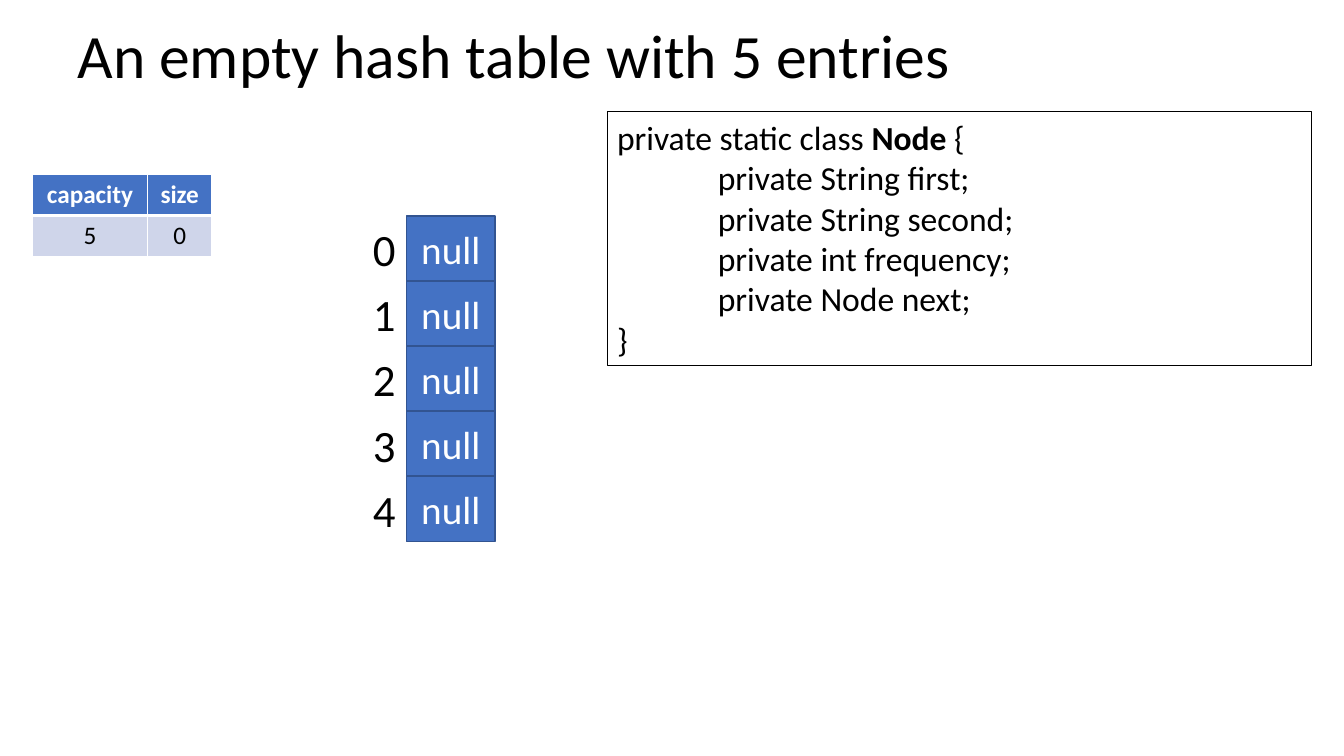
from lxml import etree
from pptx import Presentation
from pptx.dml.color import RGBColor
from pptx.enum.shapes import MSO_SHAPE
from pptx.enum.text import MSO_ANCHOR, MSO_AUTO_SIZE, PP_ALIGN
from pptx.oxml.ns import qn
from pptx.util import Cm, Pt

RECTANGLE = MSO_SHAPE.RECTANGLE
MIDDLE, TOP = MSO_ANCHOR.MIDDLE, MSO_ANCHOR.TOP
LEFT, CENTER = PP_ALIGN.LEFT, PP_ALIGN.CENTER
NO_FIT = MSO_AUTO_SIZE.NONE
TITLE_ONLY = 5

FONT = "Calibri"
BLACK, WHITE = "000000", "FFFFFF"
BLUE, DARK_BLUE, PALE_BLUE = "4472C4", "325491", "CFD5EA"


def color(hex_string):
    return RGBColor.from_string(hex_string)


def add_span(para, text, size, hex_color=BLACK, bold=False):
    span = para.add_run()
    span.text = text
    span.font.name = FONT
    span.font.size = Pt(size)
    span.font.bold = bold
    span.font.color.rgb = color(hex_color)


def add_box(page, left, top, width, height, fill, line, line_width):
    box = page.shapes.add_shape(RECTANGLE, Cm(left), Cm(top), Cm(width), Cm(height))
    box.shadow.inherit = False
    if fill:
        box.fill.solid()
        box.fill.fore_color.rgb = color(fill)
    else:
        box.fill.background()
    box.line.color.rgb = color(line)
    box.line.width = Pt(line_width)
    return box


def set_borders(cell, bottom_width):
    properties = cell._tc.get_or_add_tcPr()
    for side, width in (("L", 1), ("R", 1), ("T", 1), ("B", bottom_width)):
        border = etree.SubElement(properties, qn(f"a:ln{side}"), w=str(Pt(width)))
        fill = etree.SubElement(border, qn("a:solidFill"))
        etree.SubElement(fill, qn("a:srgbClr"), val=WHITE)


def add_title(page, left, top, width, height):
    title = page.shapes.title
    title.left, title.top = Cm(left), Cm(top)
    title.width, title.height = Cm(width), Cm(height)
    frame = title.text_frame
    frame.word_wrap = True
    frame.auto_size = NO_FIT
    frame.vertical_anchor = MIDDLE
    para = frame.paragraphs[0]
    para.alignment = LEFT
    para.line_spacing = 0.9
    add_span(para, "An empty hash table with 5 entries", 44)


def add_field_table(page, left, top, column_widths, row_height):
    """Table of the hash table's fields."""
    rows = (("capacity", "size"), ("5", "0"))
    table = page.shapes.add_table(
        len(rows), len(column_widths), Cm(left), Cm(top),
        Cm(sum(column_widths)), Cm(row_height * len(rows))).table
    for column, width in zip(table.columns, column_widths):
        column.width = Cm(width)
    for row_index, values in enumerate(rows):
        header = row_index == 0
        table.rows[row_index].height = Cm(row_height)
        for column_index, value in enumerate(values):
            cell = table.cell(row_index, column_index)
            set_borders(cell, 3 if header else 1)
            cell.fill.solid()
            cell.fill.fore_color.rgb = color(BLUE if header else PALE_BLUE)
            para = cell.text_frame.paragraphs[0]
            para.alignment = CENTER
            add_span(para, value, 18, WHITE if header else BLACK, header)


def add_buckets(page, left, top, width, height, count):
    """Numbered column of buckets."""
    index_width = 1.09
    for index in range(count):
        bucket_top = top + index * height
        bucket = add_box(page, left + index_width, bucket_top, width - index_width,
                         height, BLUE, DARK_BLUE, 1)
        bucket.text_frame.vertical_anchor = MIDDLE
        para = bucket.text_frame.paragraphs[0]
        para.alignment = CENTER
        add_span(para, "null", 28, WHITE)

        label = page.shapes.add_textbox(
            Cm(left), Cm(bucket_top + 0.03), Cm(index_width), Cm(height))
        label.text_frame.word_wrap = False
        add_span(label.text_frame.paragraphs[0], str(index), 32)


def add_node_class(page, left, top, width, height):
    """Framed code of the Node class."""
    box = add_box(page, left, top, width, height, None, BLACK, 0.75)
    frame = box.text_frame
    frame.word_wrap = True
    frame.vertical_anchor = TOP
    opening = frame.paragraphs[0]
    opening.alignment = LEFT
    add_span(opening, "private static class ", 24)
    add_span(opening, "Node", 24, bold=True)
    add_span(opening, " {", 24)
    fields = ("String first", "String second", "int frequency", "Node next")
    for field in fields:
        para = frame.add_paragraph()
        para.alignment = LEFT
        para._p.get_or_add_pPr().set("marL", str(Cm(2.54)))
        add_span(para, f"private {field};", 24)
    closing = frame.add_paragraph()
    closing.alignment = LEFT
    add_span(closing, "}", 24)


def main():
    deck = Presentation()
    deck.slide_width, deck.slide_height = Cm(33.87), Cm(19.05)
    page = deck.slides.add_slide(deck.slide_layouts[TITLE_ONLY])
    add_field_table(page, 0.82, 4.4, (2.9, 1.62), 1.03)
    add_buckets(page, 9.15, 5.44, 3.33, 1.64, 5)
    add_title(page, 1.7, -0.36, 29.21, 3.68)
    add_node_class(page, 15.3, 2.82, 17.75, 6.4)
    deck.save("out.pptx")


if __name__ == "__main__":
    main()
